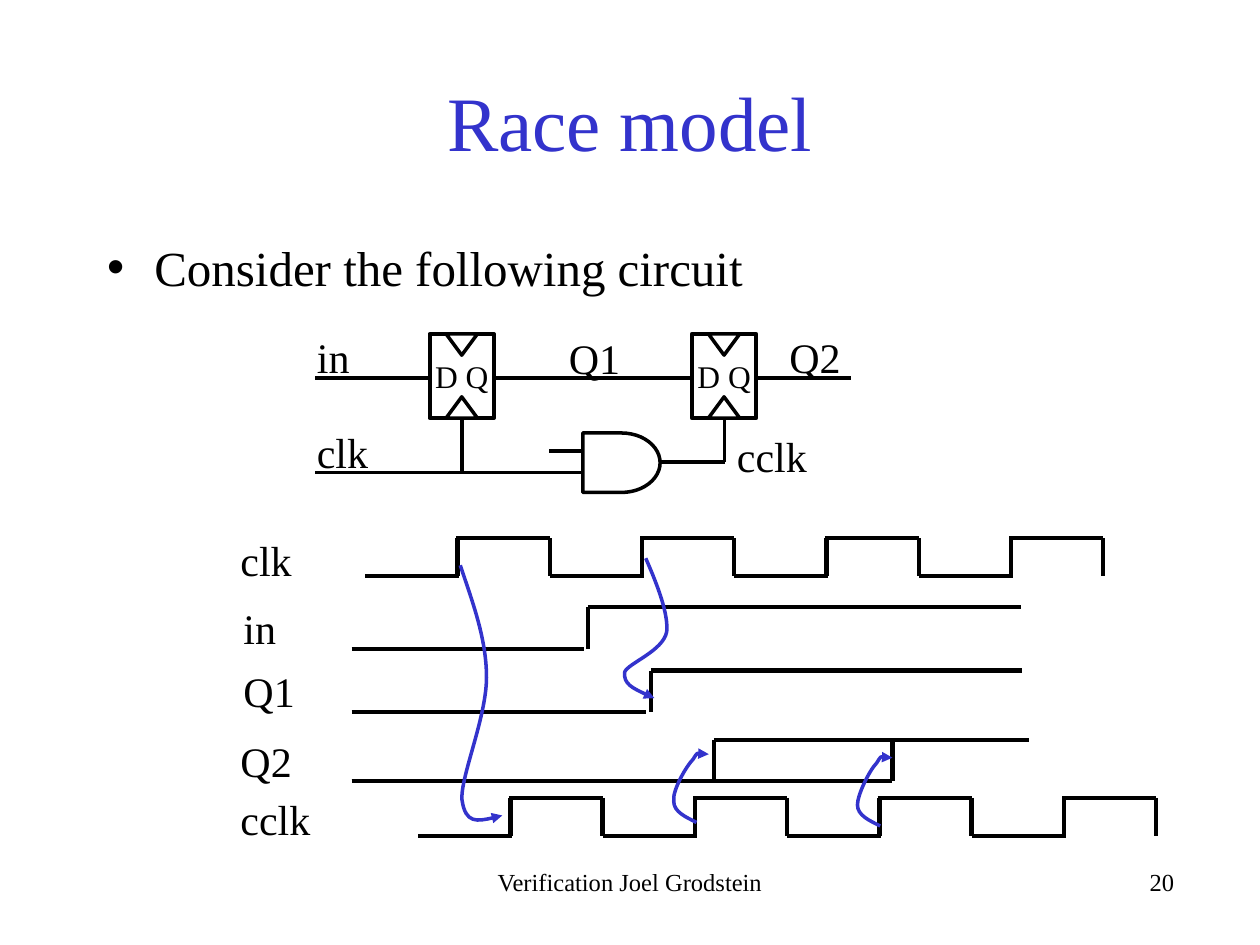
import pptx
import pptx.util
import pptx.dml.color
import pptx.enum.shapes
import pptx.enum.text
import pptx.oxml
import pptx.oxml.ns
from dataclasses import dataclass
from typing import Optional

Pt = pptx.util.Pt
RGB = pptx.dml.color.RGBColor
SHAPE = pptx.enum.shapes.MSO_SHAPE
ALIGN = pptx.enum.text.PP_ALIGN
ANCHOR = pptx.enum.text.MSO_ANCHOR
qn = pptx.oxml.ns.qn


@dataclass(frozen=True)
class Theme:
    font: str = "Times New Roman"
    ink: RGB = RGB(0, 0, 0)
    accent: RGB = RGB(0x33, 0x33, 0xCC)
    paper: RGB = RGB(255, 255, 255)
    title: float = 44
    body: float = 28
    label: float = 24
    pin: float = 18
    footer: float = 14
    wire: float = 2.25
    wave: float = 2.5
    outline: float = 2


@dataclass(frozen=True)
class Label:
    text: str
    x: float
    y: float
    w: float = 48
    h: float = 36
    size: Optional[float] = None
    align: ALIGN = ALIGN.LEFT


@dataclass(frozen=True)
class Wire:
    x1: float
    y1: float
    x2: float
    y2: float
    width: float = 2.25


@dataclass(frozen=True)
class Clock:
    x: float
    low: float
    high: float
    half: float = 52.7
    cycles: int = 4


@dataclass(frozen=True)
class Step:
    low: float
    high: float
    low_end: float
    rise: float
    end: float
    start: float = 201


T = Theme()


def element(parent, tag: str, **attrs: str):
    """Append a DrawingML element."""
    e = pptx.oxml.parse_xml(f"<a:{tag} {pptx.oxml.ns.nsdecls('a')}/>")
    for name, value in attrs.items():
        e.set(name, value)
    parent.append(e)
    return e


def style_text(p, size: float, color: RGB = T.ink, align: ALIGN = ALIGN.LEFT) -> None:
    p.alignment = align
    p.font.name, p.font.size = T.font, Pt(size)
    p.font.color.rgb = color


def place(s, x: float, y: float, w: float, h: float) -> None:
    s.left, s.top, s.width, s.height = Pt(x), Pt(y), Pt(w), Pt(h)


def draw_label(shapes, label: Label) -> None:
    s = shapes.add_textbox(Pt(label.x), Pt(label.y), Pt(label.w), Pt(label.h))
    s.text_frame.word_wrap = True
    s.text_frame.text = label.text
    style_text(s.text_frame.paragraphs[0], label.size or T.label, align=label.align)


def draw_wire(shapes, wire: Wire) -> None:
    s = shapes.add_connector(pptx.enum.shapes.MSO_CONNECTOR.STRAIGHT,
                             Pt(wire.x1), Pt(wire.y1), Pt(wire.x2), Pt(wire.y2))
    s.line.color.rgb, s.line.width = T.ink, Pt(wire.width)
    element(s._element.spPr, "effectLst")


def draw_part(shapes, kind: SHAPE, x: float, y: float, w: float, h: float,
              width: float = T.outline):
    s = shapes.add_shape(kind, Pt(x), Pt(y), Pt(w), Pt(h))
    s.shadow.inherit = False
    s.fill.solid()
    s.fill.fore_color.rgb = T.paper
    s.line.color.rgb, s.line.width = T.ink, Pt(width)
    return s


def draw_flop(shapes, x: float, y: float) -> None:
    w, h, tip_w, tip_h = 36.7, 48.2, 18, 12.2
    group = shapes.add_group_shape().shapes
    tf = draw_part(group, SHAPE.RECTANGLE, x, y, w, h, T.wire).text_frame
    tf.margin_left = tf.margin_right = tf.margin_top = tf.margin_bottom = 0
    tf.vertical_anchor = ANCHOR.MIDDLE
    tf.text = "D Q"
    style_text(tf.paragraphs[0], T.pin, align=ALIGN.CENTER)
    tip_x = x + (w - tip_w) / 2
    draw_part(group, SHAPE.ISOSCELES_TRIANGLE, tip_x, y + h - tip_h, tip_w, tip_h)
    top = draw_part(group, SHAPE.ISOSCELES_TRIANGLE, tip_x, y, tip_w, tip_h)
    top._element.spPr.get_or_add_xfrm().set("flipV", "1")


def draw_clock(shapes, clock: Clock) -> None:
    for i in range(clock.cycles):
        x = clock.x + 2 * i * clock.half
        rise, fall = x + clock.half, x + 2 * clock.half
        for ends in ((x, clock.low, rise + 1, clock.low),
                     (rise, clock.low, rise, clock.high),
                     (rise - 1, clock.high, fall, clock.high),
                     (fall, clock.high, fall, clock.low)):
            draw_wire(shapes, Wire(*ends, T.wave))


def draw_step(shapes, step: Step) -> None:
    for ends in ((step.start, step.low, step.low_end, step.low),
                 (step.rise, step.low, step.rise, step.high),
                 (step.rise, step.high, step.end, step.high)):
        draw_wire(shapes, Wire(*ends, T.wave))


def draw_curve(shapes, points: list[tuple[float, float]]) -> None:
    """Draw an arrow along cubic segments: a start, then three points per segment."""
    fb = shapes.build_freeform(*points[0], scale=Pt(1))
    fb.add_line_segments(points[1:], close=False)
    s = fb.convert_to_shape()
    s.shadow.inherit = False
    s.fill.background()
    s.line.color.rgb, s.line.width = T.accent, Pt(T.outline)
    element(s.line._get_or_add_ln(), "tailEnd", type="triangle")
    outline = s._element.find(".//" + qn("a:path"))
    lines = outline.findall(qn("a:lnTo"))
    for i in range(0, len(lines), 3):
        bezier = element(outline, "cubicBezTo")
        for line in lines[i:i + 3]:
            bezier.append(line[0])
            outline.remove(line)


LABELS = [
    # circuit
    Label("in", 174, 186), Label("Q1", 318, 186.5), Label("Q2", 444, 186),
    Label("clk", 174, 240), Label("cclk", 414, 242.5, 60),
    # timing diagram
    Label("clk", 130.3, 301.7), Label("in", 132, 340.5), Label("Q1", 132, 376.6),
    Label("Q2", 130.3, 417), Label("cclk", 130.3, 450, 63),
    # footer
    Label("Verification Joel Grodstein", 246, 492, 228, 36, T.footer, ALIGN.CENTER),
    Label("20", 450, 492, 228, 36, T.footer, ALIGN.RIGHT),
]
WIRES = [
    Wire(180, 216, 486, 216), Wire(180, 270, 333, 270),
    Wire(264, 239, 264, 270), Wire(414, 239, 414, 264),
    Wire(314, 257.8, 333, 257.8, T.wave), Wire(377, 264, 414, 264, T.wave),
]
CLOCKS = [Clock(208.8, 329.3, 307.5), Clock(239, 477.6, 455.9)]
STEPS = [
    Step(370.7, 347, 333.5, 336, 583.4), Step(406.8, 383.2, 369, 372, 584),
    Step(446.4, 423, 408, 408, 588), Step(446.4, 423, 510, 510, 588),
]
CURVES = [
    [(368.6, 319), (375.8, 334.8), (382.3, 350.6), (380.9, 361.4), (378.7, 372.2),
     (358.6, 378.7), (357.1, 384.5), (355.7, 391), (365, 394.6), (373.7, 398.9)],
    [(262.8, 323.3), (270, 344.2), (277.9, 365), (277.9, 387.4), (277.9, 409.7),
     (262.8, 444.2), (264.2, 457.2), (265.7, 470.9), (275.8, 468.7), (286.6, 465.8)],
]
# the two cclk edges that can launch Q2
CURVES += [[(x + dx, y + dy) for dx, dy in
            ((13.5, 40), (7, 37.3), (.7, 34.5), (.2, 28), (0, 22.3), (7.5, 7.9),
             (11, 3.6), (14.4, -.7), (17.3, 0), (20.5, .7))]
           for x, y in ((384.5, 430), (489.6, 432))]


def main() -> None:
    prs = pptx.Presentation()
    prs.slide_width, prs.slide_height = Pt(720), Pt(540)
    slide = prs.slides.add_slide(prs.slide_layouts[1])
    shapes = slide.shapes

    # Title and bullet
    title, body = slide.placeholders
    place(title, 54, 24, 612, 90)
    title.text_frame.text = "Race model"
    style_text(title.text_frame.paragraphs[0], T.title, T.accent, ALIGN.CENTER)
    place(body, 54, 132, 612, 48)
    body.text_frame.text = "Consider the following circuit"
    p = body.text_frame.paragraphs[0]
    pPr = p._p.get_or_add_pPr()
    pPr.set("marL", str(Pt(27)))
    pPr.set("indent", str(-Pt(27)))
    element(pPr, "buChar", char="•")
    style_text(p, T.body)

    # Circuit
    for wire in WIRES:
        draw_wire(shapes, wire)
    for x in (245.5, 395.4):
        draw_flop(shapes, x, 190.8)
    draw_part(shapes, SHAPE.FLOWCHART_DELAY, 333, 247.4, 44.2, 34)

    # Timing diagram
    for clock in CLOCKS:
        draw_clock(shapes, clock)
    for step in STEPS:
        draw_step(shapes, step)
    for curve in CURVES:
        draw_curve(shapes, curve)

    # Labels and footer
    for label in LABELS:
        draw_label(shapes, label)
    prs.save("out.pptx")


if __name__ == "__main__":
    main()
